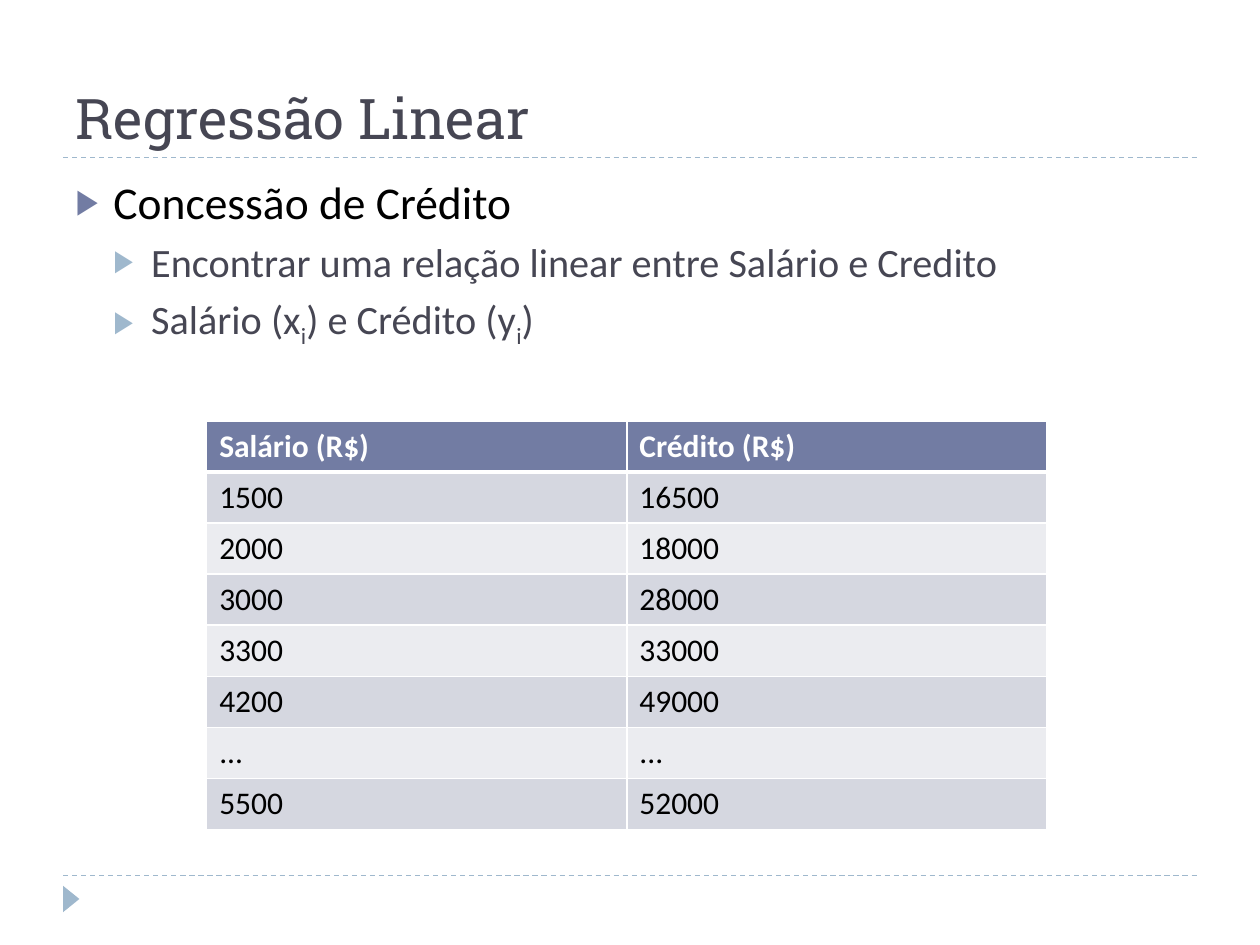
from dataclasses import dataclass

from lxml.etree import SubElement
from pptx import Presentation
from pptx.dml.color import RGBColor
from pptx.enum.dml import MSO_LINE
from pptx.enum.shapes import MSO_CONNECTOR, MSO_SHAPE
from pptx.enum.text import MSO_ANCHOR, MSO_AUTO_SIZE, PP_ALIGN
from pptx.oxml.ns import qn
from pptx.util import Inches, Pt


@dataclass(frozen=True)
class Theme:
    heading_font: str = "Roboto Slab"
    body_font: str = "Calibri"
    dark: str = "464653"
    black: str = "000000"
    white: str = "FFFFFF"
    accent: str = "727CA3"
    accent_light: str = "9FB8CD"
    bands: tuple[str, str] = ("D5D7E0", "EBECF0")
    title_size: int = 32
    table_size: int = 18


@dataclass(frozen=True)
class Level:
    size: int
    color: str
    bullet_color: str
    indent: float
    space_before: int


@dataclass(frozen=True)
class Bullet:
    level: int
    texts: tuple[str, ...]  # every second text is a subscript


THEME = Theme()
LEVELS = (
    Level(26, THEME.black, THEME.accent, 0.3, 6),
    Level(23, THEME.dark, THEME.accent_light, 0.6, 5),
)
BULLETS = (
    Bullet(0, ("Concessão de Crédito",)),
    Bullet(1, ("Encontrar uma relação linear entre Salário e Credito",)),
    Bullet(1, ("Salário (x", "i", ") e Crédito (y", "i", ")")),
)
ROWS = (
    ("Salário (R$)", "Crédito (R$)"),
    ("1500", "16500"),
    ("2000", "18000"),
    ("3000", "28000"),
    ("3300", "33000"),
    ("4200", "49000"),
    ("...", "..."),
    ("5500", "52000"),
)
RULE_HEIGHTS = (6.95, 1.25)


def rgb(color: str) -> RGBColor:
    return RGBColor.from_string(color)


def format_run(r, size: int, color: str, name: str, bold: bool = False) -> None:
    for key, value in {"size": Pt(size), "name": name, "bold": bold}.items():
        setattr(r.font, key, value)
    r.font.color.rgb = rgb(color)


def place(sp, left: float, top: float, width: float, height: float) -> None:
    box = {"left": left, "top": top, "width": width, "height": height}
    for key, value in box.items():
        setattr(sp, key, Inches(value))


def draw_rule(slide, y: float) -> None:
    line = slide.shapes.add_connector(
        MSO_CONNECTOR.STRAIGHT, Inches(0.5), Inches(y), Inches(9.5), Inches(y))
    line.line.color.rgb = rgb(THEME.accent_light)
    line.line.width = Pt(0.75)
    line.line.dash_style = MSO_LINE.DASH
    SubElement(line._element.spPr, qn("a:effectLst"))


def draw_marker(slide) -> None:
    sp = slide.shapes.add_shape(
        MSO_SHAPE.ISOSCELES_TRIANGLE,
        Inches(0.46), Inches(7.07), Inches(0.21), Inches(0.13))
    sp.rotation = 90
    sp.shadow.inherit = False
    sp.fill.solid()
    sp.fill.fore_color.rgb = rgb(THEME.accent_light)
    sp.line.fill.background()


def fill_title(sp, text: str) -> None:
    place(sp, 0.5, 0.17, 9, 1.08)
    tf = sp.text_frame
    tf.auto_size = MSO_AUTO_SIZE.NONE
    tf.vertical_anchor = MSO_ANCHOR.BOTTOM
    p = tf.paragraphs[0]
    p.alignment = PP_ALIGN.LEFT
    r = p.add_run()
    r.text = text
    format_run(r, THEME.title_size, THEME.dark, THEME.heading_font)


def set_bullet(p, level: Level) -> None:
    pPr = p._p.get_or_add_pPr()
    pPr.set("marL", str(Inches(level.indent)))
    pPr.set("indent", str(-Inches(0.3)))
    color = SubElement(pPr, qn("a:buClr"))
    SubElement(color, qn("a:srgbClr"), val=level.bullet_color)
    SubElement(pPr, qn("a:buSzPct"), val="76000")
    SubElement(pPr, qn("a:buChar"), char="▶")


def fill_body(sp, bullets: tuple[Bullet, ...]) -> None:
    place(sp, 0.5, 1.33, 9, 5.4)
    tf = sp.text_frame
    tf.auto_size = MSO_AUTO_SIZE.NONE
    for i, bullet in enumerate(bullets):
        p = tf.add_paragraph() if i else tf.paragraphs[0]
        level = LEVELS[bullet.level]
        p.level = bullet.level
        p.space_before = Pt(level.space_before)
        set_bullet(p, level)
        for j, text in enumerate(bullet.texts):
            r = p.add_run()
            r.text = text
            format_run(r, level.size, level.color, THEME.body_font)
            if j % 2:
                r._r.get_or_add_rPr().set("baseline", "-25000")


def set_borders(cell, widths: dict[str, int]) -> None:
    tcPr = cell._tc.get_or_add_tcPr()
    for side, width in widths.items():
        ln = SubElement(tcPr, qn(f"a:ln{side}"), w=str(Pt(width)))
        fill = SubElement(ln, qn("a:solidFill"))
        SubElement(fill, qn("a:srgbClr"), val=THEME.white)


def draw_table(slide, rows: tuple[tuple[str, ...], ...]) -> None:
    table = slide.shapes.add_table(
        len(rows), len(rows[0]),
        Inches(1.64), Inches(3.34), Inches(6.67), Inches(3.24)).table
    for i, row in enumerate(rows):
        header = i == 0
        fill = THEME.accent if header else THEME.bands[(i - 1) % 2]
        color = THEME.white if header else THEME.black
        widths = {"L": 1, "R": 1, "T": 3 if i == 1 else 1, "B": 3 if header else 1}
        for j, text in enumerate(row):
            cell = table.cell(i, j)
            set_borders(cell, widths)
            cell.fill.solid()
            cell.fill.fore_color.rgb = rgb(fill)
            r = cell.text_frame.paragraphs[0].add_run()
            r.text = text
            format_run(r, THEME.table_size, color, THEME.body_font, bold=header)


def main() -> None:
    prs = Presentation()
    prs.slide_width, prs.slide_height = Inches(10), Inches(7.5)
    slide = prs.slides.add_slide(prs.slide_layouts[1])
    for y in RULE_HEIGHTS:
        draw_rule(slide, y)
    draw_marker(slide)
    fill_title(slide.shapes.title, "Regressão Linear")
    fill_body(slide.placeholders[1], BULLETS)
    draw_table(slide, ROWS)
    prs.save("out.pptx")


if __name__ == "__main__":
    main()
